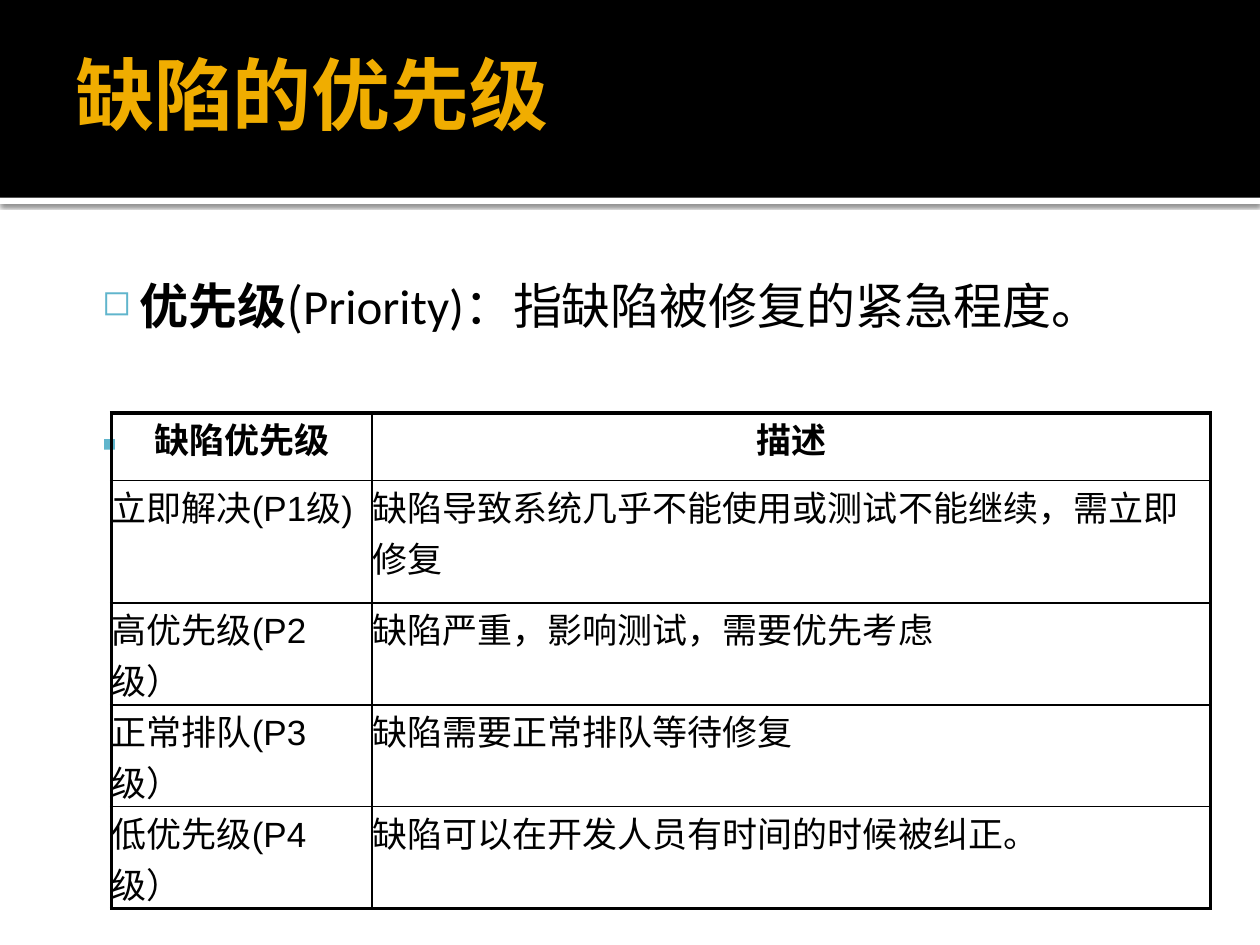
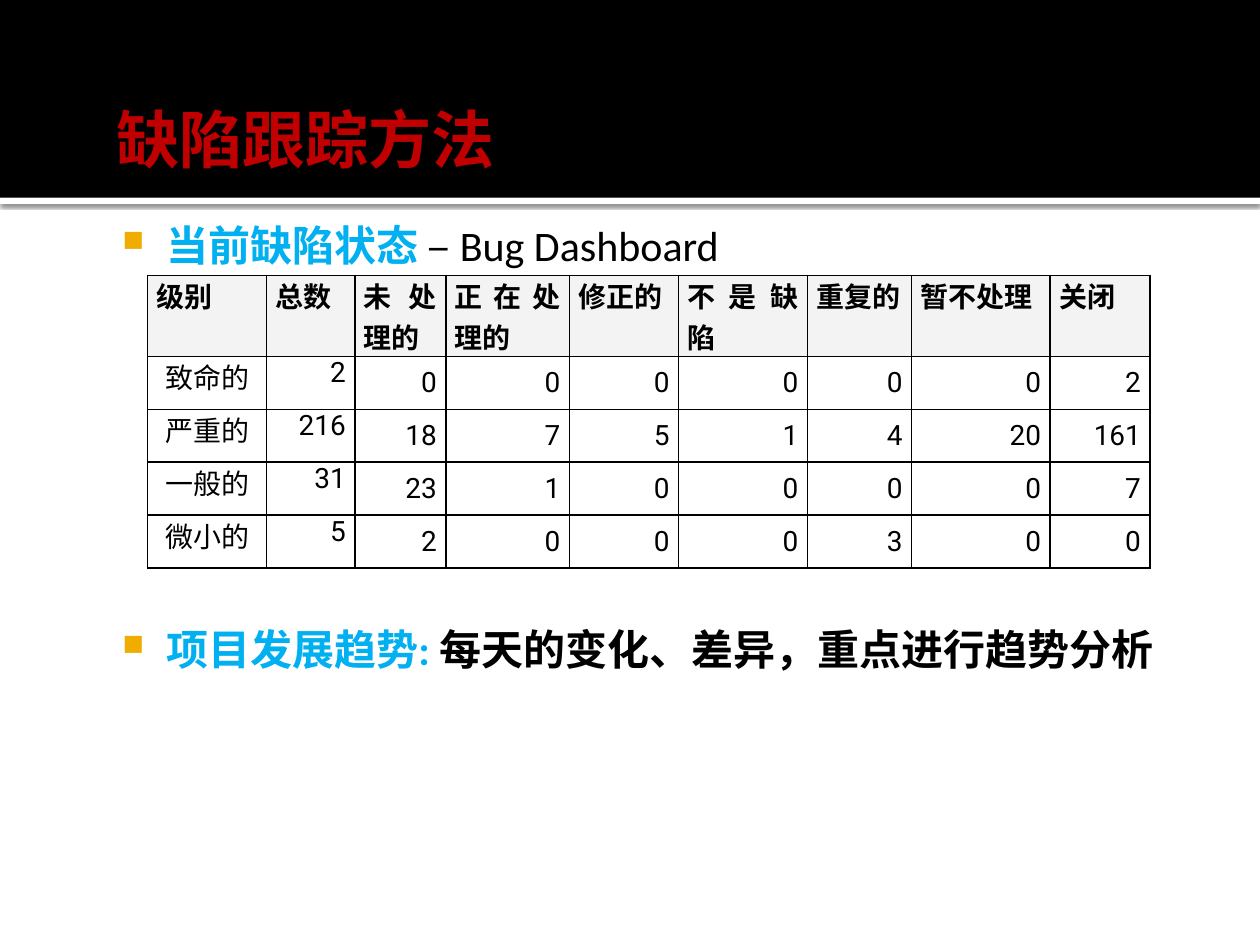
from lxml import etree
from pptx import Presentation
from pptx.dml.color import RGBColor
from pptx.enum.shapes import MSO_SHAPE as Shape
from pptx.enum.text import MSO_ANCHOR as Anchor, PP_ALIGN as Align
from pptx.oxml import parse_xml
from pptx.oxml.ns import nsdecls, qn
from pptx.util import Pt

BLACK, WHITE, GOLD, RED = "000000", "FFFFFF", "F0AD00", "C00000"
TEAL, SKY, HEADER_GREY = "60B5CC", "00B0F0", "F3F3F3"
CJK = "Noto Sans CJK SC"
WIDTH, HEIGHT = 720, 540
BAND_HEIGHT, STRIPE_HEIGHT = 113, 3.6
TITLE_INSETS = (7.2, 3.6, 3.6, 3.6)
BODY_INSETS = (4.3, 7.2, 7.2, 3.6)

PRIORITY_TITLE = "缺陷的优先级"
PRIORITY_DEFINITION = [
    ("优先级", {"bold": True}),
    ("(", {"font": CJK}),
    ("Priority)", {}),
    ("：指缺陷被修复的紧急程度。", {"font": CJK}),
]
PRIORITY_ROWS = [
    ("缺陷优先级", "描述"),
    ("立即解决(P1级)", "缺陷导致系统几乎不能使用或测试不能继续，需立即修复"),
    ("高优先级(P2级）", "缺陷严重，影响测试，需要优先考虑"),
    ("正常排队(P3级）", "缺陷需要正常排队等待修复"),
    ("低优先级(P4级）", "缺陷可以在开发人员有时间的时候被纠正。"),
]
PRIORITY_WIDTHS = [149, 479]
PRIORITY_HEIGHTS = [38.6, 70] + [58.2] * 3

TRACKING_TITLE = "缺陷跟踪方法"
TRACKING_POINTS = [
    (118.3, [("当前缺陷状态 ", {"bold": True, "color": SKY}),
             ("– Bug Dashboard", {})]),
    (348.8, [("项目发展趋势: ", {"bold": True, "color": SKY}),
             ("每天的变化、差异，重点进行趋势分析", {"bold": True})]),
]
STATUS_ROWS = [
    ("级别", "总数", "未处理的", "正在处理的", "修正的", "不是缺陷",
     "重复的", "暂不处理", "关闭"),
    ("致命的", 2, 0, 0, 0, 0, 0, 0, 2),
    ("严重的", 216, 18, 7, 5, 1, 4, 20, 161),
    ("一般的", 31, 23, 1, 0, 0, 0, 0, 7),
    ("微小的", 5, 2, 0, 0, 0, 3, 0, 0),
]
STATUS_WIDTHS = [68, 50.4, 52, 70.6, 62.4, 73.6, 59.6, 79.2, 57]
STATUS_HEIGHTS = [46.2] + [30.3] * 4


def rgb(value):
    return RGBColor.from_string(value)


def add_bullet(paragraph, char, color, percent, margin, indent):
    properties = paragraph._p.get_or_add_pPr()
    properties.set("marL", str(Pt(margin)))
    properties.set("indent", str(Pt(indent)))
    for xml in (
        f'<a:buClr {nsdecls("a")}><a:srgbClr val="{color}"/></a:buClr>',
        f'<a:buSzPct {nsdecls("a")} val="{percent * 1000}"/>',
        f'<a:buChar {nsdecls("a")} char="{char}"/>',
    ):
        properties.append(parse_xml(xml))


def write(frame, text, size=18, font="Calibri", color=BLACK, bold=False,
          align=Align.LEFT, line_spacing=None, margin=0, bullet=None):
    """Fill a frame with one paragraph; text is a string or (text, format) runs."""
    paragraph = frame.paragraphs[0]
    paragraph.alignment = align
    if line_spacing:
        paragraph.line_spacing = line_spacing
    if bullet:
        add_bullet(paragraph, **bullet)
    elif margin:
        paragraph._p.get_or_add_pPr().set("marL", str(Pt(margin)))
    runs = [(text, {})] if isinstance(text, str) else text
    for content, changes in runs:
        run = paragraph.add_run()
        run.text = content
        run.font.size = Pt(size)
        run.font.bold = changes.get("bold", bold)
        run.font.name = changes.get("font", font)
        run.font.color.rgb = rgb(changes.get("color", color))
        east_asian = etree.Element(qn("a:ea"), typeface=CJK)
        run.font._element.find(qn("a:latin")).addnext(east_asian)


def add_text(slide, box, text, insets, anchor=Anchor.TOP, **text_format):
    frame = slide.shapes.add_textbox(*map(Pt, box)).text_frame
    frame.word_wrap = True
    frame.vertical_anchor = anchor
    (frame.margin_left, frame.margin_top,
     frame.margin_right, frame.margin_bottom) = map(Pt, insets)
    write(frame, text, **text_format)


def add_rectangle(slide, box, color):
    shape = slide.shapes.add_shape(Shape.RECTANGLE, *map(Pt, box))
    shape.shadow.inherit = False
    shape.fill.solid()
    shape.fill.fore_color.rgb = rgb(color)
    shape.line.fill.background()
    return shape


def add_titled_slide(presentation, title, box, **title_format):
    """Add a slide with the black band, its shadowed stripe and a title."""
    slide = presentation.slides.add_slide(presentation.slide_layouts[6])
    stripe = add_rectangle(slide, (0, BAND_HEIGHT, WIDTH, STRIPE_HEIGHT), WHITE)
    stripe._element.spPr.find(qn("a:effectLst")).append(parse_xml(
        f'<a:outerShdw {nsdecls("a")} blurRad="{Pt(2.5)}" dist="{Pt(0.8)}" '
        'dir="5400000" rotWithShape="0"><a:srgbClr val="000000">'
        '<a:alpha val="60000"/></a:srgbClr></a:outerShdw>'))
    add_rectangle(slide, (0, 0, WIDTH, BAND_HEIGHT), BLACK)
    add_text(slide, box, title, TITLE_INSETS, Anchor.MIDDLE, bold=True,
             **title_format)
    return slide


def set_borders(cell, widths):
    """Draw black borders; widths are left, right, top, bottom."""
    properties = cell._tc.get_or_add_tcPr()
    for side, width in zip("LRTB", widths):
        properties.append(parse_xml(
            f'<a:ln{side} {nsdecls("a")} w="{Pt(width)}"><a:solidFill>'
            f'<a:srgbClr val="{BLACK}"/></a:solidFill></a:ln{side}>'))


def add_table(slide, left, top, widths, heights, rows, cell_format,
              outer=1, inset=0, header_fill=None):
    """Add a table; cell_format(row, column) gives anchor and text format."""
    table = slide.shapes.add_table(
        len(rows), len(widths), Pt(left), Pt(top),
        Pt(sum(widths)), Pt(sum(heights))).table
    for column, width in zip(table.columns, widths):
        column.width = Pt(width)
    for row, height in zip(table.rows, heights):
        row.height = Pt(height)
    last_row, last_column = len(rows) - 1, len(widths) - 1
    for r, row in enumerate(rows):
        for c, value in enumerate(row):
            cell = table.cell(r, c)
            at_edge = (c == 0, c == last_column, r == 0, r == last_row)
            set_borders(cell, [outer if edge else 1 for edge in at_edge])
            if header_fill and r == 0:
                cell.fill.solid()
                cell.fill.fore_color.rgb = rgb(header_fill)
            else:
                cell.fill.background()
            cell.margin_left = cell.margin_right = Pt(inset)
            cell.margin_top = cell.margin_bottom = 0
            anchor, text_format = cell_format(r, c)
            cell.vertical_anchor = anchor
            write(cell.text_frame, str(value), bold=r == 0, **text_format)


def priority_cell(row, column):
    align = Align.CENTER if row == 0 else Align.LEFT
    return Anchor.TOP, {"size": 20, "font": "Arial", "align": align}


def status_cell(row, column):
    if row == 0:
        align = Align.JUSTIFY
    else:
        align = Align.RIGHT if column else Align.CENTER
    anchor = Anchor.MIDDLE if row and column > 1 else Anchor.TOP
    return anchor, {"size": 16, "font": "Roboto", "align": align}


def build_priority_slide(presentation):
    slide = add_titled_slide(presentation, PRIORITY_TITLE, (36, 21.6, 648, 62.6),
                             size=45, color=GOLD)
    add_text(slide, (18, 150.5, 683, 55), PRIORITY_DEFINITION, BODY_INSETS, size=28,
             bullet={"char": "◻", "color": TEAL, "percent": 72,
                     "margin": 57.6, "indent": -21.6})
    add_rectangle(slide, (59.5, 251, 6.2, 6), TEAL)
    add_table(slide, 63.7, 236, PRIORITY_WIDTHS, PRIORITY_HEIGHTS,
              PRIORITY_ROWS, priority_cell, outer=2.25)


def build_tracking_slide(presentation):
    slide = add_titled_slide(presentation, TRACKING_TITLE, (45.7, 23, 612, 90),
                             size=36, font="Arial", color=RED,
                             line_spacing=1.5, margin=13.7)
    for top, point in TRACKING_POINTS:
        add_text(slide, (56.2, top, 643.7, 46), point, BODY_INSETS, size=24,
                 bullet={"char": "■", "color": GOLD, "percent": 70,
                         "margin": 34.6, "indent": -25.2})
    add_table(slide, 84.4, 157.4, STATUS_WIDTHS, STATUS_HEIGHTS, STATUS_ROWS,
              status_cell, inset=5.2, header_fill=HEADER_GREY)


def main():
    presentation = Presentation()
    presentation.slide_width, presentation.slide_height = Pt(WIDTH), Pt(HEIGHT)
    build_priority_slide(presentation)
    build_tracking_slide(presentation)
    presentation.save("out.pptx")


if __name__ == "__main__":
    main()
